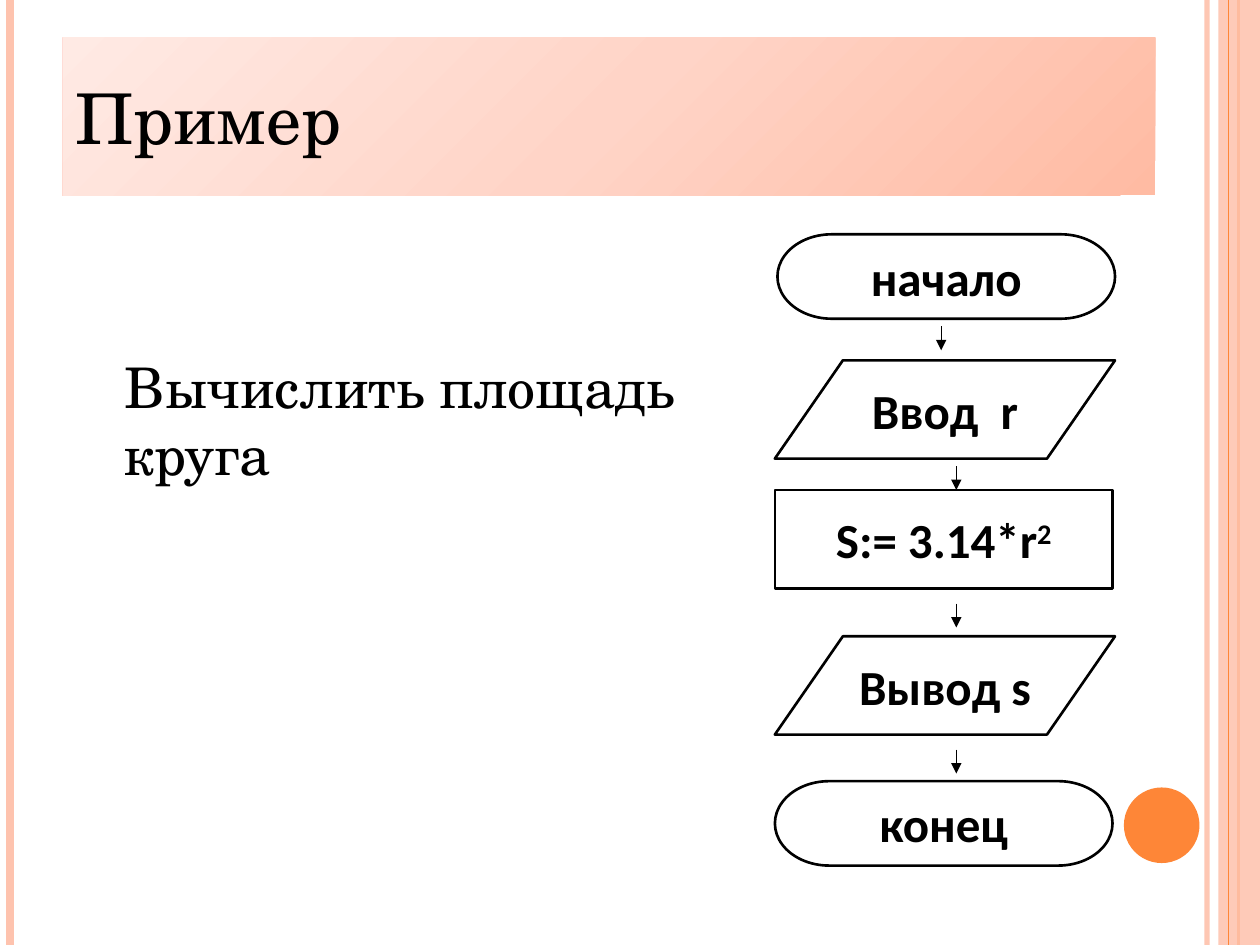
from copy import deepcopy

from pptx import Presentation
from pptx.dml.color import RGBColor
from pptx.enum.shapes import MSO_CONNECTOR as Link, MSO_SHAPE as Form
from pptx.enum.text import MSO_ANCHOR as Anchor, PP_ALIGN as Align
from pptx.oxml.ns import qn
from pptx.oxml.xmlchemy import OxmlElement as Node
from pptx.util import Inches, Pt

COLORS = {
    "ink": "000000", "paper": "FFFFFF", "peach": "FEC3AE", "orange": "FE8637",
    "deep": "FFBBA3", "mid": "FFD4C7", "pale": "FFEAE4",
}
SERIF, SANS = "TeX Gyre Schola", "Calibri"


def rgb(name):
    return RGBColor.from_string(COLORS[name])


def fade(fill, percent):
    """Make a solid fill partly transparent; percent is its opacity."""
    alpha = Node("a:alpha")
    alpha.set("val", str(percent * 1000))
    fill._xPr.find(qn("a:solidFill"))[0].append(alpha)


class Deck:
    def __init__(self):
        self.prs = Presentation()
        self.prs.slide_width, self.prs.slide_height = Inches(10), Inches(7.5)
        self.slide = self.prs.slides.add_slide(self.prs.slide_layouts[6])

    def shape(self, form, box, fill, edge=None):
        item = self.slide.shapes.add_shape(form, *map(Inches, box))
        item.shadow.inherit = False
        item.fill.solid()
        item.fill.fore_color.rgb = rgb(fill)
        if edge:
            item.line.color.rgb = rgb(edge)
            item.line.width = Pt(1.5)
        else:
            item.line.fill.background()
        return item

    def line(self, x, top, end, color, width, arrow=False):
        item = self.slide.shapes.add_connector(
            Link.STRAIGHT, *map(Inches, (x, top, x, end)))
        item.line.color.rgb = rgb(color)
        item.line.width = Pt(width)
        if arrow:
            tail = Node("a:tailEnd")
            tail.set("type", "triangle")
            item.line._get_or_add_ln().append(tail)
        item._element.spPr.append(Node("a:effectLst"))
        return item

    def label(self, item, text, size, font, align=Align.LEFT, bold=False,
              power=""):
        """Set the text of a shape; power is a raised ending."""
        frame = item.text_frame
        frame.word_wrap = True
        par = frame.paragraphs[0]
        par.alignment = align
        par.add_run().text = text
        if power:
            run = par.add_run()
            run.text = power
            run.font._element.set("baseline", "30000")
        par.font.size, par.font.name, par.font.bold = Pt(size), font, bold
        par.font.color.rgb = rgb("ink")
        return par

    def step(self, form, box, text, power=""):
        item = self.shape(form, box, "paper", "ink")
        item.text_frame.vertical_anchor = Anchor.MIDDLE
        par = self.label(item, text, 28, SANS, Align.CENTER, True, power)
        par.space_after = Pt(10)

    def note(self, box, text):
        item = self.slide.shapes.add_textbox(*map(Inches, box))
        self.label(item, text, 32, SERIF)

    def title(self, box, text):
        item = self.shape(Form.RECTANGLE, box, "deep")
        item.fill.gradient()
        item.fill.gradient_angle = 135
        stops = item.fill._xPr.find(qn("a:gradFill")).find(qn("a:gsLst"))
        stops.insert(1, deepcopy(stops[0]))
        tones = zip(item.fill.gradient_stops, ("deep", "mid", "pale"), (0, .5, 1))
        for stop, tone, place in tones:
            stop.color.rgb = rgb(tone)
            stop.position = place
        item.text_frame.vertical_anchor = Anchor.MIDDLE
        self.label(item, text, 40, SERIF)


def main():
    deck = Deck()

    edge = deck.line(9.58, 0, 7.5, "peach", 3)
    fade(edge.line.fill, 93)
    deck.line(0.08, 0, 7.5, "peach", 4.5)
    deck.line(9.83, 0, 7.5, "orange", 1.5)
    band = deck.shape(Form.RECTANGLE, (9.67, 0, 0.33, 7.5), "peach")
    fade(band.fill, 87)
    deck.line(9.75, 0, 7.5, "orange", 0.75)
    deck.shape(Form.OVAL, (8.92, 6.25, 0.6, 0.6), "orange")

    deck.note((0.89, 2.75, 5.05, 1.2), "Вычислить площадь круга")

    cap, data = Form.FLOWCHART_TERMINATOR, Form.FLOWCHART_DATA
    steps = (
        (cap, (6.17, 1.86, 2.68, 0.67), "начало"),
        (data, (6.15, 2.86, 2.7, 0.78), "Ввод  r"),
        (Form.FLOWCHART_PROCESS, (6.15, 3.89, 2.68, 0.78), "S:= 3.14*r", "2"),
        (data, (6.15, 5.05, 2.7, 0.78), "Вывод s"),
        (cap, (6.15, 6.2, 2.68, 0.67), "конец"),
    )
    for step in steps:
        deck.step(*step)
    for x, top in ((7.47, 2.59), (7.59, 3.7), (7.59, 4.79), (7.59, 5.95)):
        deck.line(x, top, top + 0.19, "ink", 0.75, arrow=True)

    deck.title((0.5, 0.3, 8.67, 1.25), "Пример")
    deck.prs.save("out.pptx")


if __name__ == "__main__":
    main()
